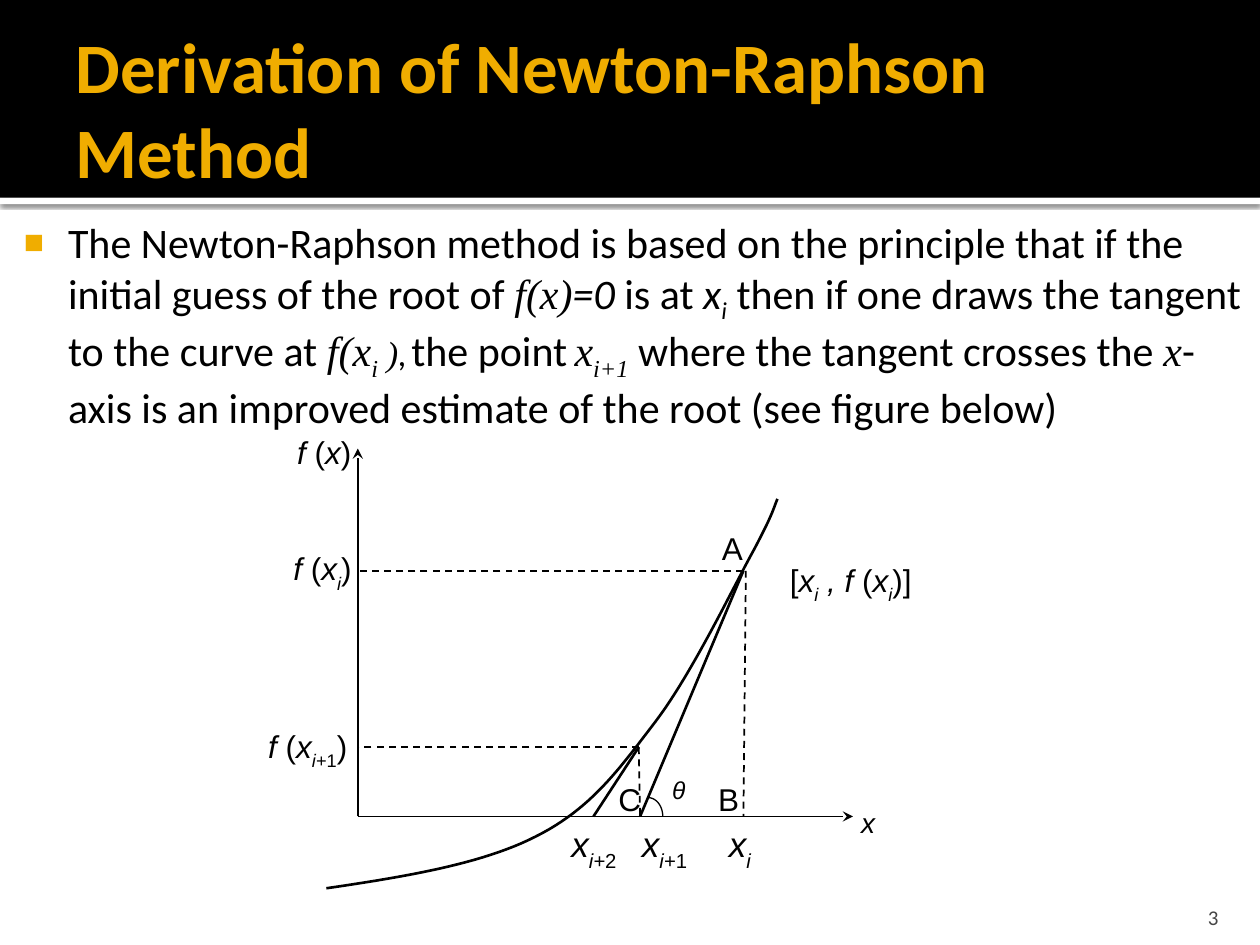
from dataclasses import dataclass
from itertools import pairwise

from lxml import etree
from pptx import Presentation
from pptx.dml.color import RGBColor
from pptx.enum.dml import MSO_LINE
from pptx.enum.shapes import MSO_CONNECTOR, MSO_SHAPE
from pptx.enum.text import MSO_ANCHOR, MSO_AUTO_SIZE, PP_ALIGN
from pptx.oxml import parse_xml
from pptx.oxml.ns import nsdecls, qn
from pptx.util import Emu, Inches, Pt

BLACK = RGBColor(0x00, 0x00, 0x00)
WHITE = RGBColor(0xFF, 0xFF, 0xFF)
GOLD = RGBColor(0xF0, 0xAD, 0x00)
GREY = RGBColor(0x45, 0x45, 0x45)
STRAIGHT, RECTANGLE = MSO_CONNECTOR.STRAIGHT, MSO_SHAPE.RECTANGLE
DASH = MSO_LINE.DASH
LEFT, RIGHT, JUSTIFY = PP_ALIGN.LEFT, PP_ALIGN.RIGHT, PP_ALIGN.JUSTIFY
TOP, MIDDLE, BOTTOM = MSO_ANCHOR.TOP, MSO_ANCHOR.MIDDLE, MSO_ANCHOR.BOTTOM
NO_FIT = MSO_AUTO_SIZE.NONE
SANS, SERIF, FIGURE_FONT = "Calibri", "Times New Roman", "Arial"

# The slide is a grid of 100 columns by 75 rows of square cells
CELL = Inches(0.1)
COLUMNS, ROWS = 100, 75
Point = tuple[float, float]


def cells(count: float) -> Emu:
    return Emu(round(count * CELL))


@dataclass
class Run:
    text: str
    italic: bool = False
    sub: int = 0  # percent below the baseline
    font: str = FIGURE_FONT
    size: float = 18


@dataclass
class Label:
    column: float
    row: float
    width: float
    runs: list[Run]
    inset: float = 1  # left inset in cells


@dataclass
class Segment:
    start: Point
    end: Point
    weight: float = 1
    dashed: bool = False
    arrow: bool = False


def write_runs(paragraph, runs: list[Run], color: RGBColor) -> None:
    for part in runs:
        run = paragraph.add_run()
        run.text = part.text
        run.font.name, run.font.size = part.font, Pt(part.size)
        run.font.italic = part.italic
        run.font.color.rgb = color
        if part.sub:
            run.font._element.set("baseline", str(-1000 * part.sub))


def set_frame(frame, anchor, insets: tuple[float, float, float, float]) -> None:
    frame.word_wrap, frame.auto_size = True, NO_FIT
    frame.vertical_anchor = anchor
    (frame.margin_left, frame.margin_top,
     frame.margin_right, frame.margin_bottom) = map(cells, insets)


def place(shape, column: float, row: float, width: float, height: float) -> None:
    shape.left, shape.top = cells(column), cells(row)
    shape.width, shape.height = cells(width), cells(height)


def add_label(shapes, label: Label) -> None:
    box = shapes.add_textbox(cells(label.column), cells(label.row), cells(label.width), cells(3.8))
    set_frame(box.text_frame, TOP, (label.inset, 0.5, 1, 0.5))
    paragraph = box.text_frame.paragraphs[0]
    paragraph.alignment = JUSTIFY
    write_runs(paragraph, label.runs, BLACK)


def add_segment(shapes, segment: Segment) -> None:
    line = shapes.add_connector(STRAIGHT, *map(cells, segment.start + segment.end))
    line.line.color.rgb, line.line.width = BLACK, Pt(segment.weight)
    if segment.dashed:
        line.line.dash_style = DASH
    properties = line._element.spPr
    if segment.arrow:
        etree.SubElement(properties.find(qn("a:ln")), qn("a:tailEnd"), type="stealth")
    etree.SubElement(properties, qn("a:effectLst"))


def add_curve(shapes, knots: list[Point], weight: float, steps: int = 24) -> None:
    """Draw chained cubic Béziers: a start, then two handles and an end each."""
    points = [knots[0]]
    for first in range(0, len(knots) - 1, 3):
        a, b, c, d = knots[first:first + 4]
        for step in range(1, steps + 1):
            t = step / steps
            u = 1 - t
            points.append(tuple(u**3 * p + 3 * u * u * t * q + 3 * u * t * t * r + t**3 * s
                                for p, q, r, s in zip(a, b, c, d)))
    builder = shapes.build_freeform(*map(cells, points[0]))
    builder.add_line_segments([(cells(x), cells(y)) for x, y in points[1:]], close=False)
    curve = builder.convert_to_shape()
    curve.shadow.inherit = False
    curve.fill.background()
    curve.line.color.rgb, curve.line.width = BLACK, Pt(weight)


def add_band(shapes, row: float, height: float, color: RGBColor):
    band = shapes.add_shape(RECTANGLE, 0, cells(row), cells(COLUMNS), cells(height))
    band.shadow.inherit = False
    band.fill.solid()
    band.fill.fore_color.rgb = color
    band.line.fill.background()
    return band


def italic(text: str, size: float = 18) -> Run:
    return Run(text, True, size=size)


def subscript(text: str, slanted: bool = True, size: float = 18) -> Run:
    return Run(text, slanted, 30, size=size)


def body(text: str, slanted: bool = False, sub: int = 0, size: float = 24) -> Run:
    return Run(text, slanted, sub, SANS, size)


def maths(text: str, sub: int = 0, size: float = 24) -> Run:
    return Run(text, True, sub, SERIF, size)


deck = Presentation()
deck.slide_width, deck.slide_height = cells(COLUMNS), cells(ROWS)
slide = deck.slides.add_slide(deck.slide_layouts[1])
shapes = slide.shapes
title, principle = slide.placeholders

# Header bands, behind the placeholders
HEADER = 15.7
rule = add_band(shapes, HEADER, 0.5, WHITE)
header = add_band(shapes, 0, HEADER, BLACK)
shadow = rule._element.spPr.find(qn("a:effectLst"))
shadow.append(parse_xml(
    f'<a:outerShdw {nsdecls("a")} blurRad="{Pt(2.5)}" dist="{Pt(0.8)}" dir="5400000">'
    '<a:srgbClr val="000000"><a:alpha val="60000"/></a:srgbClr></a:outerShdw>'))
for depth, band in enumerate((rule, header), start=2):
    shapes.element.insert(depth, band._element)

# Title
place(title, 5, 1.7, 90, 13.7)
title.text_frame.text = "Derivation of Newton-Raphson Method"
set_frame(title.text_frame, MIDDLE, (1, 0.5, 0.5, 0.5))
heading = title.text_frame.paragraphs[0]
heading.alignment = LEFT
heading_font = heading.runs[0].font
heading_font.name, heading_font.size, heading_font.bold = SANS, Pt(40.5), True
heading_font.color.rgb = GOLD

# Principle
place(principle, 0, 16.2, COLUMNS, 19.7)
set_frame(principle.text_frame, TOP, (0.6, 1, 1, 0.5))
statement = principle.text_frame.paragraphs[0]
bullet = statement._p.get_or_add_pPr()
bullet.set("marL", str(cells(4.8)))
bullet.set("indent", str(cells(-3.5)))
color = etree.SubElement(bullet, qn("a:buClr"))
etree.SubElement(color, qn("a:srgbClr"), val=str(GOLD))
etree.SubElement(bullet, qn("a:buSzPct"), val="80000")
etree.SubElement(bullet, qn("a:buChar"), char="■")
statement.alignment, statement.space_before = LEFT, Pt(0)
write_runs(statement, [
    body("The Newton-Raphson method is based on the principle that if the "
         "initial guess of the root of "),
    maths("f(x)"), body("=0", True), body(" is at "), body("x", True), body("i", True, 25),
    body(" then if one draws the tangent to the curve at "),
    maths("f(x"), maths("i", 25), maths(" )", size=20), body(",", True, size=20),
    body(" ", size=10.5), body("the point"), body(" ", size=18), maths("x"), maths("i+1", 25),
    body(" where the tangent crosses the "), maths("x"),
    body("-axis is an improved estimate of the root (see figure below)")], BLACK)

# Axes, guides and tangents
ORIGIN = (28.4, 64.8)
AXIS_X, AXIS_Y = ORIGIN
A, B, C = (59, 45.3), (59, AXIS_Y), (50.8, AXIS_Y)
NEXT_GUESS = (50.7, 59.3)
for segment in (
        Segment(ORIGIN, (67.7, AXIS_Y), arrow=True),
        Segment(ORIGIN, (AXIS_X, 35.6), arrow=True),
        Segment((59.2, A[1]), B, dashed=True),
        Segment(A, (AXIS_X, A[1]), dashed=True),
        Segment(NEXT_GUESS, C, dashed=True),
        Segment(NEXT_GUESS, (AXIS_X, NEXT_GUESS[1]), dashed=True),
        Segment(A, C, 1.5),
        Segment(NEXT_GUESS, (47.1, AXIS_Y), 1.5)):
    add_segment(shapes, segment)

# Function curve and angle arc
add_curve(shapes, [(25.9, 70.5), (32, 69.6), (38.2, 68.6), (42.5, 66.4),
                   (46.9, 64.2), (49.1, 61.1), (52, 57.3),
                   (54.9, 53.5), (58.2, 46.6), (59.8, 43.7),
                   (61.4, 40.7), (61.4, 40.3), (61.7, 39.6)], 1.5)
add_curve(shapes, [(51.4, 63.3), (52.1, 63.3), (52.6, 64), (52.6, AXIS_Y)], 0.75)

# Labels
F_OF_X = [italic("f "), Run("("), italic("x")]
ROOT_ROW, INDENT = 64.8, 2.54
root_x = italic("x", 20)
for label in (
        Label(22.6, 33.9, 7.5, [*F_OF_X, Run(")")]),
        Label(22.3, 43.1, 7.2, [*F_OF_X, subscript("i"), Run(")")]),
        Label(20.3, 57.2, 9.5, [*F_OF_X, subscript("i+"), subscript("1", False), Run(")")]),
        Label(42.8, ROOT_ROW, 8.1,
              [root_x, subscript("i+", size=20), subscript("2", False, 20)], INDENT),
        Label(48.4, ROOT_ROW, 8.1,
              [root_x, subscript("i+", size=20), subscript("1", False, 20)], INDENT),
        Label(55.3, ROOT_ROW, 8.1, [root_x, subscript("i", size=20)], INDENT),
        Label(65.8, 63.4, 8.1, [italic("x", 16)], INDENT),
        Label(50.8, 61, 8.1, [italic("θ", 14)], INDENT),
        Label(61.7, 44, 13.5, [Run("["), italic("x"), subscript("i"), italic(" , f "), Run("("),
                               italic("x"), subscript("i"), Run(")]")]),
        Label(48.1, 61.4, 6.2, [Run("C")]),
        Label(56.3, 41.5, 6.2, [Run("A")]),
        Label(56, 61.4, 6.2, [Run("B")])):
    add_label(shapes, label)

# Slide number
number = shapes.add_textbox(cells(89.7), cells(70.8), cells(8), cells(3))
set_frame(number.text_frame, BOTTOM, (1, 0.5, 1, 0))
number.text_frame.paragraphs[0].alignment = RIGHT
write_runs(number.text_frame.paragraphs[0], [body("3", size=12)], GREY)

deck.save("out.pptx")
